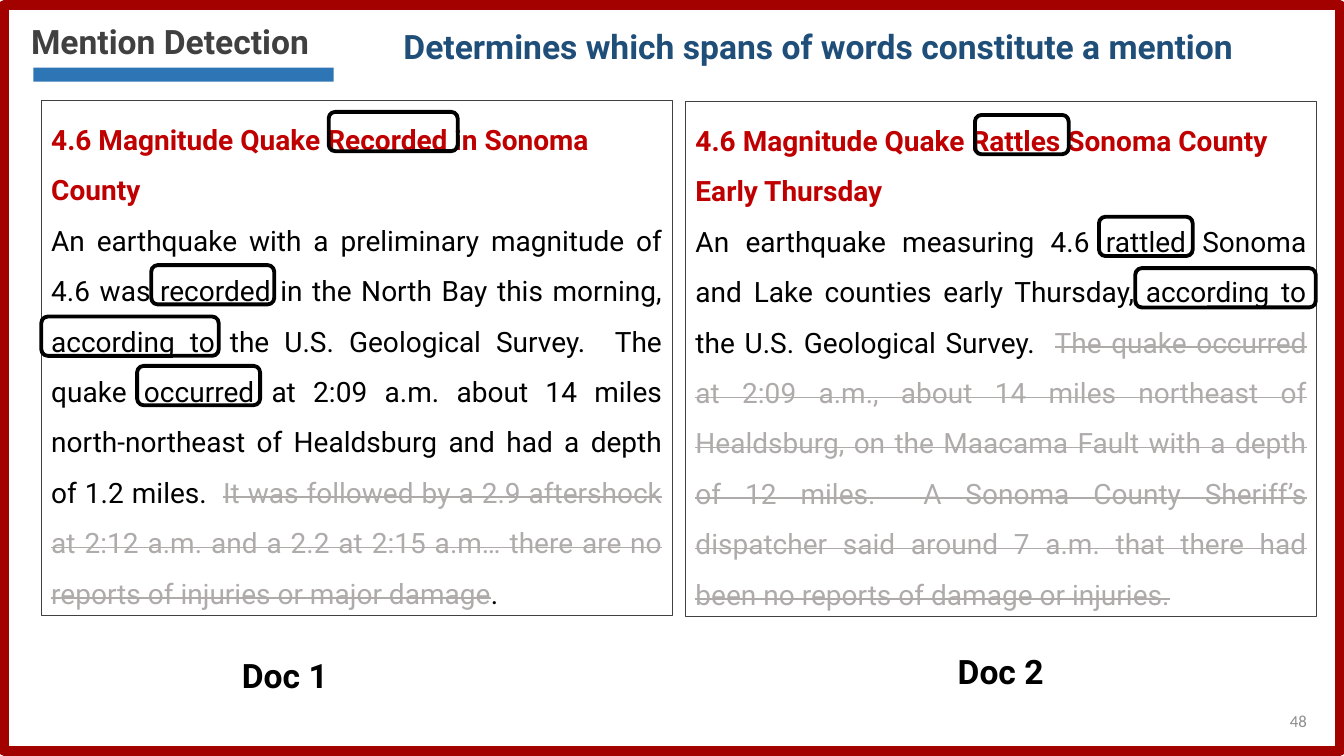
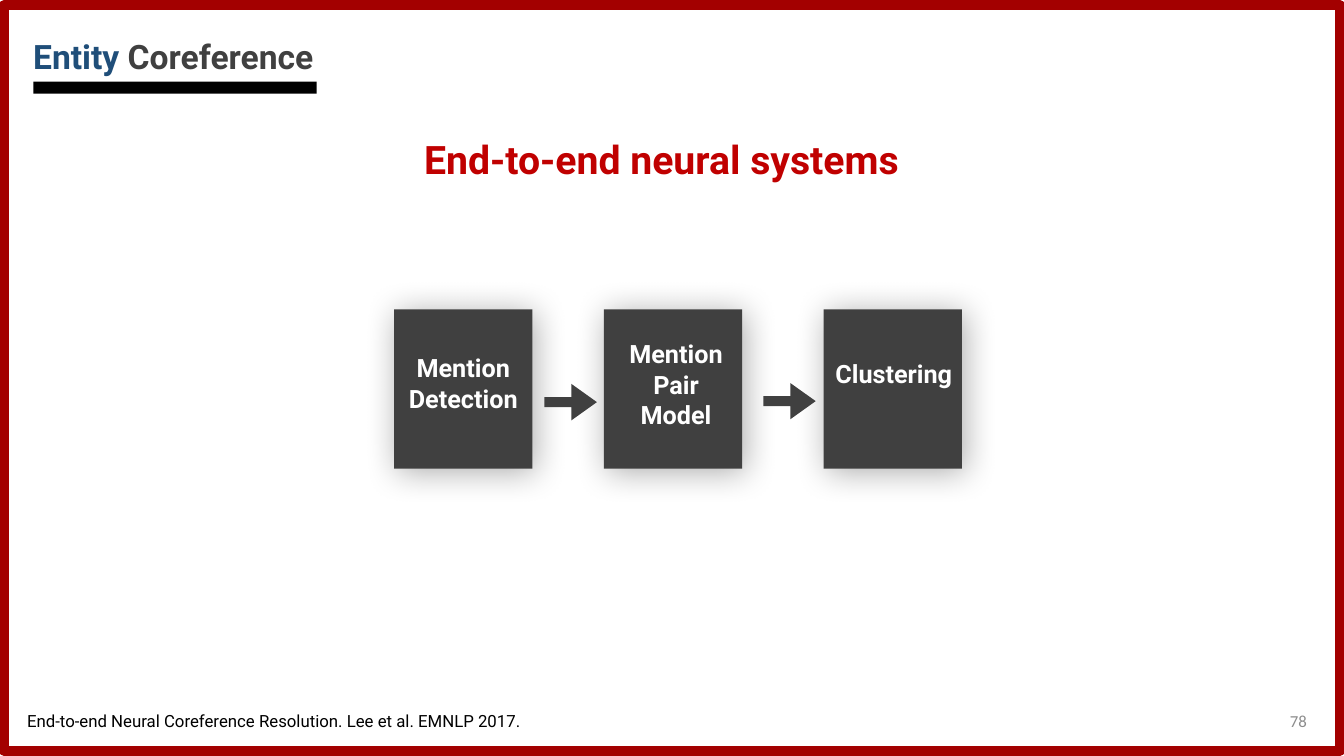
import pptx
import pptx.util
import pptx.dml.color
import pptx.enum.shapes
import pptx.enum.text
import lxml.etree

SCALE = 9144
SHAPE = pptx.enum.shapes.MSO_SHAPE
ALIGN = pptx.enum.text.PP_ALIGN
ANCHOR = pptx.enum.text.MSO_ANCHOR
DRAWING = "http://schemas.openxmlformats.org/drawingml/2006/main"

COLOURS = {
    "frame": "A30000",
    "red": "C00000",
    "navy": "1F4E79",
    "blue": "2E75B6",
    "dark": "404040",
    "faded": "AFABAB",
    "number": "8C8C8C",
    "black": "000000",
    "white": "FFFFFF",
}

MENTION = {
    "title": [("Mention Detection", "dark")],
    "title_at": (21, 16, 417, 50),
    "rule_at": (33, 67, 298, 14),
    "rule_colour": "blue",
    "number": "48",
}
MENTION_HEADING = "Determines which spans of words constitute a mention"

DOCUMENTS = [
    {
        "at": (41, 100),
        "headline": "4.6 Magnitude Quake Recorded in Sonoma County",
        "body": [
            ("An earthquake with a preliminary magnitude of 4.6 was recorded in the North Bay "
             "this morning, according to the U.S. Geological Survey.  The quake occurred at "
             "2:09 a.m. about 14 miles north-northeast of Healdsburg and had a depth of 1.2 "
             "miles.  ", "black"),
            ("It was followed by a 2.9 aftershock at 2:12 a.m. and a 2.2 at 2:15 a.m… there "
             "are no reports of injuries or major damage", "faded"),
            (".", "black"),
        ],
        "mentions": [(326, 111, 128), (150, 263, 122), (41, 314, 176), (136, 363, 122)],
        "label": "Doc 1",
        "label_at": (119, 645),
    },
    {
        "at": (680, 101),
        "headline": "4.6 Magnitude Quake Rattles Sonoma County Early Thursday",
        "body": [
            ("An earthquake measuring 4.6 rattled Sonoma and Lake counties early Thursday, "
             "according to the U.S. Geological Survey.  ", "black"),
            ("The quake occurred at 2:09 a.m., about 14 miles northeast of Healdsburg, on the "
             "Maacama Fault with a depth of 12 miles.  A Sonoma County Sheriff’s dispatcher "
             "said around 7 a.m. that there had been no reports of damage or injuries.", "faded"),
        ],
        "mentions": [(967, 114, 93), (1090, 215, 93), (1126, 266, 179)],
        "label": "Doc 2",
        "label_at": (829, 641),
    },
]
PANEL_SIZE = (626, 511)
MENTION_HEIGHT = 39
LABEL_SIZE = (327, 50)

COREFERENCE = {
    "title": [("Entity", "navy"), (" Coreference", "dark")],
    "title_at": (23, 31, 321, 50),
    "rule_at": (33, 81, 281, 12),
    "rule_colour": "black",
    "number": "78",
}
COREFERENCE_HEADING = "End-to-end neural systems"
CITATION = "End-to-end Neural Coreference Resolution. Lee et al. EMNLP 2017."

STEPS = [
    (391, ["Mention", "Detection"], (391, 345, 137, 71)),
    (599, ["Mention", "Pair Model"], (602, 331, 137, 101)),
    (817, ["Clustering"], (818, 351, 137, 40)),
]
CARD_TOP, CARD_SIZE = 307, (137, 158)
ARROWS = [(540, 381), (757, 380)]
ARROW_SIZE = (52, 36)


def px(value):
    return pptx.util.Emu(value * SCALE)


def rgb(name):
    return pptx.dml.color.RGBColor.from_string(COLOURS[name])


def add_box(page, kind, at, fill=None, line=None, weight=1):
    box = page.shapes.add_shape(kind, *map(px, at))
    box.shadow.inherit = False
    if fill:
        box.fill.solid()
        box.fill.fore_color.rgb = rgb(fill)
    else:
        box.fill.background()
    if line:
        box.line.color.rgb = rgb(line)
        box.line.width = pptx.util.Pt(weight)
    else:
        box.line.fill.background()
    return box


def add_para(frame, spans, size, bold=False, align=ALIGN.LEFT, font="Roboto", spacing=None):
    para = frame.paragraphs[0]
    if para.runs:
        para = frame.add_paragraph()
    para.alignment = align
    if spacing:
        para.line_spacing = spacing
    para.font.size = pptx.util.Pt(size)
    para.font.name = font
    para.font.bold = bold
    for text, colour in spans:
        span = para.add_run()
        span.text = text
        if len(spans) == 1:
            para.font.color.rgb = rgb(colour)
        else:
            span.font.color.rgb = rgb(colour)
        if colour == "faded":
            span._r.get_or_add_rPr().set("strike", "sngStrike")


def add_text(page, at, lines, size, anchor=ANCHOR.TOP, **style):
    frame = page.shapes.add_textbox(*map(px, at)).text_frame
    frame.word_wrap = True
    frame.vertical_anchor = anchor
    for spans in lines:
        add_para(frame, spans, size, **style)


def add_glow_shadow(box):
    effects = box._element.spPr.find(f"{{{DRAWING}}}effectLst")
    shadow = lxml.etree.SubElement(
        effects, f"{{{DRAWING}}}outerShdw", blurRad=str(pptx.util.Pt(24)),
        dist=str(pptx.util.Pt(3)), dir=str(45 * 60000), algn="tl", rotWithShape="0")
    tint = lxml.etree.SubElement(shadow, f"{{{DRAWING}}}srgbClr", val=COLOURS["black"])
    lxml.etree.SubElement(tint, f"{{{DRAWING}}}alpha", val="33000")


def add_page(deck, content):
    page = deck.slides.add_slide(deck.slide_layouts[6])
    add_box(page, SHAPE.RECTANGLE, (4, 5, 1325, 740), "white", "frame", 7)
    add_text(page, (1006, 695, 300, 40), [[(content["number"], "number")]], 12,
             ANCHOR.MIDDLE, align=ALIGN.RIGHT, font="Calibri")
    add_text(page, content["title_at"], [content["title"]], 24, ANCHOR.BOTTOM, bold=True)
    add_box(page, SHAPE.RECTANGLE, content["rule_at"], content["rule_colour"])
    return page


def add_document(page, document):
    panel = add_box(page, SHAPE.RECTANGLE, document["at"] + PANEL_SIZE, None, "dark", 0.75)
    frame = panel.text_frame
    frame.word_wrap = True
    frame.vertical_anchor = ANCHOR.TOP
    add_para(frame, [(document["headline"], "red")], 20, bold=True, spacing=1.5)
    add_para(frame, document["body"], 20, align=ALIGN.JUSTIFY, spacing=1.5)
    for left, top, width in document["mentions"]:
        add_box(page, SHAPE.ROUNDED_RECTANGLE, (left, top, width, MENTION_HEIGHT),
                None, "black", 2.75)
    add_text(page, document["label_at"] + LABEL_SIZE, [[(document["label"], "black")]], 24,
             ANCHOR.BOTTOM, bold=True, align=ALIGN.CENTER)


def build_mention_page(deck):
    page = add_page(deck, MENTION)
    add_text(page, (354, 21, 915, 50), [[(MENTION_HEADING, "navy")]], 24,
             ANCHOR.BOTTOM, bold=True, align=ALIGN.CENTER)
    for document in DOCUMENTS:
        add_document(page, document)


def build_coreference_page(deck):
    page = add_page(deck, COREFERENCE)
    add_text(page, (344, 129, 624, 71), [[(COREFERENCE_HEADING, "red")]], 28,
             bold=True, align=ALIGN.CENTER)
    for left, lines, label_at in STEPS:
        card = add_box(page, SHAPE.RECTANGLE, (left, CARD_TOP) + CARD_SIZE, "dark")
        add_glow_shadow(card)
        add_text(page, label_at, [[(line, "white")] for line in lines], 18,
                 bold=True, align=ALIGN.CENTER)
    for corner in ARROWS:
        arrow = add_box(page, SHAPE.RIGHT_ARROW, corner + ARROW_SIZE, "dark")
        arrow.adjustments[0] = 0.28
        arrow.adjustments[1] = 0.7
    add_text(page, (17, 700, 543, 30), [[(CITATION, "black")]], 12)


def main():
    deck = pptx.Presentation()
    deck.slide_width, deck.slide_height = px(1333), px(750)
    build_mention_page(deck)
    build_coreference_page(deck)
    deck.save("out.pptx")


if __name__ == "__main__":
    main()
